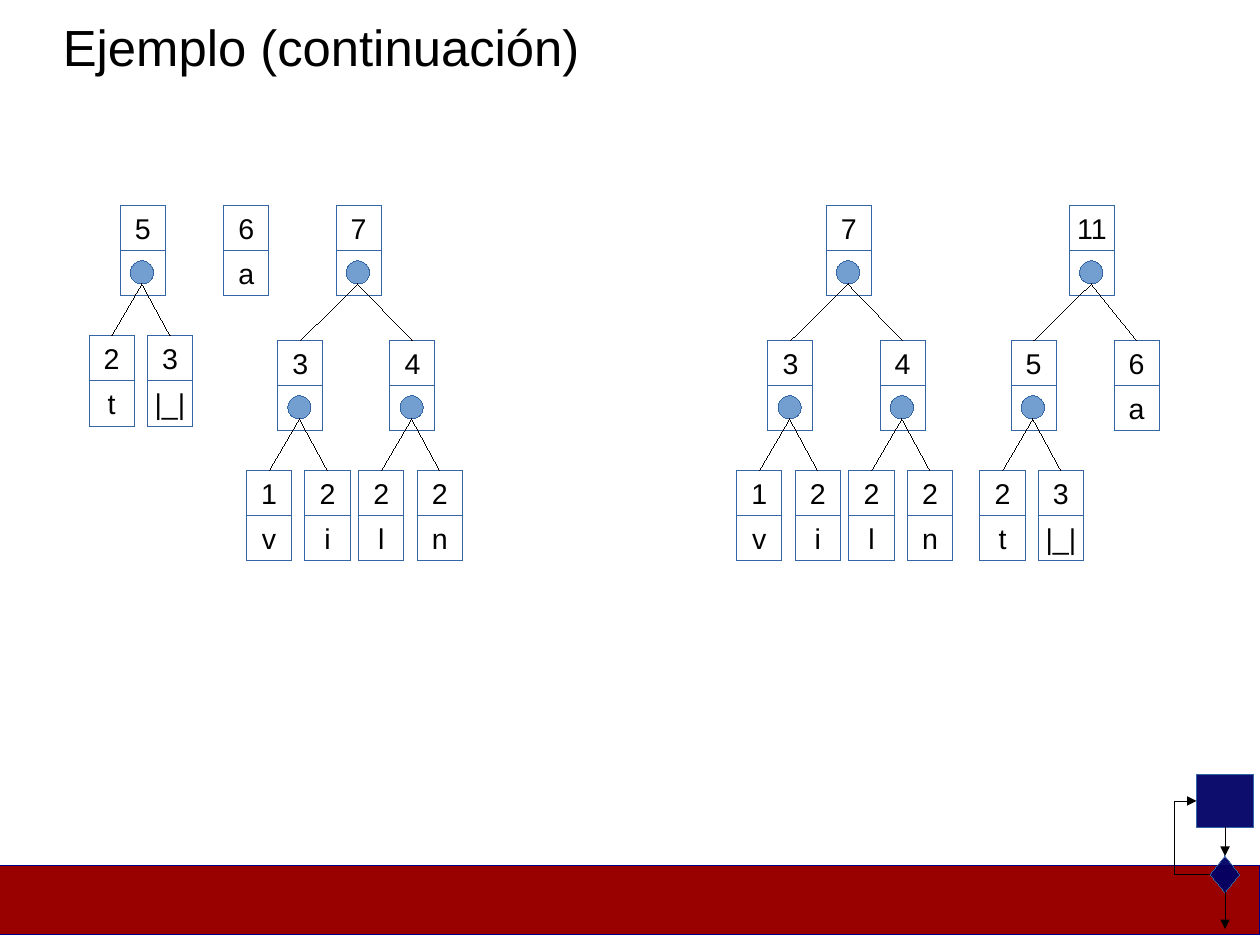
import pptx
import pptx.dml.color
import pptx.enum.shapes
import pptx.enum.text
import pptx.oxml
import pptx.oxml.ns
import pptx.util
from lxml import etree

Pt = pptx.util.Pt
SHAPE = pptx.enum.shapes.MSO_SHAPE
CONNECTOR = pptx.enum.shapes.MSO_CONNECTOR
ALIGN = pptx.enum.text.PP_ALIGN
ANCHOR = pptx.enum.text.MSO_ANCHOR

COLORS = {"paper": "FFFFFF", "ink": "000000", "outline": "3465A4", "pointer": "729FCF",
          "band": "990000", "band_edge": "000080", "flow": "000066"}

FONTS = {"title": {"name": "Arial", "size": Pt(32)},
         "cell": {"name": "Arial", "size": Pt(18)}}
FRAMES = {
    "title": {"word_wrap": True, "vertical_anchor": ANCHOR.TOP, "margin_left": 0,
              "margin_top": 0, "margin_right": 0, "margin_bottom": 0},
    "cell": {"word_wrap": False, "vertical_anchor": ANCHOR.MIDDLE, "margin_left": Pt(7.2),
             "margin_top": Pt(3.6), "margin_right": Pt(7.2), "margin_bottom": Pt(3.6)},
}

CELL = 28.45      # side of a square cell; a node stacks two
DOT = 14.6        # diameter of a pointer circle
DOT_CENTER = 13.7  # from the left edge of its cell
DOT_TOP = 6.3     # from the top edge of its cell

# Child offsets (left dx, right dx, drop)
NARROW = (-19.6, 17.2, 82)
WIDE = (-36.8, 33.9, 85)
UNEVEN = (-36.8, 28.1, 85)

# A leaf is (weight, symbol); a branch is (weight, offsets, left, right)
TREE_5 = ("5", NARROW, ("2", "t"), ("3", "|_|"))
LEAF_6 = ("6", "a")
TREE_7 = ("7", WIDE,
          ("3", NARROW, ("1", "v"), ("2", "i")),
          ("4", NARROW, ("2", "l"), ("2", "n")))
TREE_11 = ("11", UNEVEN, TREE_5, LEAF_6)

BEFORE = [(0, TREE_5), (65.2, LEAF_6), (136, TREE_7)]
AFTER = [(0, TREE_7), (153.2, TREE_11)]


def rgb(name):
    return pptx.dml.color.RGBColor.from_string(COLORS[name])


def apply(target, formats):
    for key, value in formats.items():
        setattr(target, key, value)


def write(frame, text, style, align):
    apply(frame, FRAMES[style])
    paragraph = frame.paragraphs[0]
    paragraph.text = text
    paragraph.alignment = align
    apply(paragraph.font, FONTS[style])
    paragraph.font.color.rgb = rgb("ink")


def hairline(line, color):
    """A zero width has to be stated, or the theme's width applies."""
    line.color.rgb = rgb(color)
    outline = line._get_or_add_ln()
    outline.set("w", "0")
    return outline


def block(slide, kind, box, fill, edge="outline", text=None):
    part = slide.shapes.add_shape(kind, *map(Pt, box))
    part.shadow.inherit = False
    part.fill.solid()
    part.fill.fore_color.rgb = rgb(fill)
    hairline(part.line, edge)
    if text:
        write(part.text_frame, text, "cell", ALIGN.CENTER)
    return part


def link(slide, start, end, kind=CONNECTOR.STRAIGHT, arrow=False):
    edge = slide.shapes.add_connector(kind, *map(Pt, start + end))
    outline = hairline(edge.line, "ink")
    if arrow:
        etree.SubElement(outline, pptx.oxml.ns.qn("a:tailEnd"), type="triangle")
    etree.SubElement(edge._element.spPr, pptx.oxml.ns.qn("a:effectLst"))
    return edge


def draw_title(slide, box, text):
    title = slide.shapes.add_textbox(*map(Pt, box))
    write(title.text_frame, text, "title", ALIGN.LEFT)


def draw_tree(slide, left, top, tree):
    weight, *content = tree
    is_leaf = len(content) == 1
    children = []
    if not is_leaf:
        (left_dx, right_dx, drop), *subtrees = content
        children = [(left + dx, top + drop, subtree)
                    for dx, subtree in zip((left_dx, right_dx), subtrees)]
    for child in children:
        draw_tree(slide, *child)

    # Weight above, symbol or pointer below
    block(slide, SHAPE.RECTANGLE, (left, top, CELL, CELL), "paper", text=weight)
    block(slide, SHAPE.RECTANGLE, (left, top + CELL, CELL, CELL), "paper",
          text=content[0] if is_leaf else None)
    if is_leaf:
        return
    center, dot_top = left + DOT_CENTER, top + CELL + DOT_TOP
    block(slide, SHAPE.OVAL, (center - DOT / 2, dot_top, DOT, DOT), "pointer")
    for child_left, child_top, _ in children:
        link(slide, (child_left + CELL / 2, child_top), (center, dot_top + DOT))


def draw_forest(slide, left, top, forest):
    for dx, tree in forest:
        draw_tree(slide, left + dx, top, tree)


def draw_flow_icon(slide, left, top):
    """Small loop diagram: process, decision and a return arrow."""
    process = (left + 14.4, top, 36, 33)
    decision = (left + 23, top + 51.1, 18.7, 23)
    for kind, box in ((SHAPE.FLOWCHART_DECISION, decision), (SHAPE.FLOWCHART_PROCESS, process)):
        part = block(slide, kind, box, "flow")
        color = part._element.spPr.find(".//" + pptx.oxml.ns.qn("a:srgbClr"))
        etree.SubElement(color, pptx.oxml.ns.qn("a:alpha"), val="95000")

    axis = left + 32.4
    decision_bottom = decision[1] + decision[3]
    link(slide, (axis, top + process[3]), (axis, decision[1]), arrow=True)
    start = (decision[0], decision[1] + decision[3] / 2)
    end = (process[0], top + process[3] / 2)
    loop = link(slide, start, end, CONNECTOR.ELBOW, arrow=True)
    bend = round((start[0] - left) / (start[0] - end[0]) * 100000)
    geometry = loop._element.spPr.find(pptx.oxml.ns.qn("a:prstGeom"))
    guides = geometry.find(pptx.oxml.ns.qn("a:avLst"))
    if guides is None:
        guides = etree.SubElement(geometry, pptx.oxml.ns.qn("a:avLst"))
    etree.SubElement(guides, pptx.oxml.ns.qn("a:gd"), name="adj1", fmla=f"val {bend}")
    link(slide, (axis, decision_bottom), (axis, decision_bottom + 23), arrow=True)


def draw_footer(slide, box):
    left, top, width, _ = box
    block(slide, SHAPE.RECTANGLE, box, "band", "band_edge")
    draw_flow_icon(slide, left + width - 54.4, top - 57.2)


def main():
    deck = pptx.Presentation()
    deck.slide_width, deck.slide_height = Pt(793.7), Pt(595.28)
    slide = deck.slides.add_slide(deck.slide_layouts[6])

    draw_footer(slide, (0, 545.3, 793.7, 43.2))
    draw_title(slide, (39.6, 10, 714, 37), "Ejemplo (continuación)")
    draw_forest(slide, 75.7, 129.5, BEFORE)
    draw_forest(slide, 520.5, 129.5, AFTER)

    deck.save("out.pptx")


if __name__ == "__main__":
    main()
